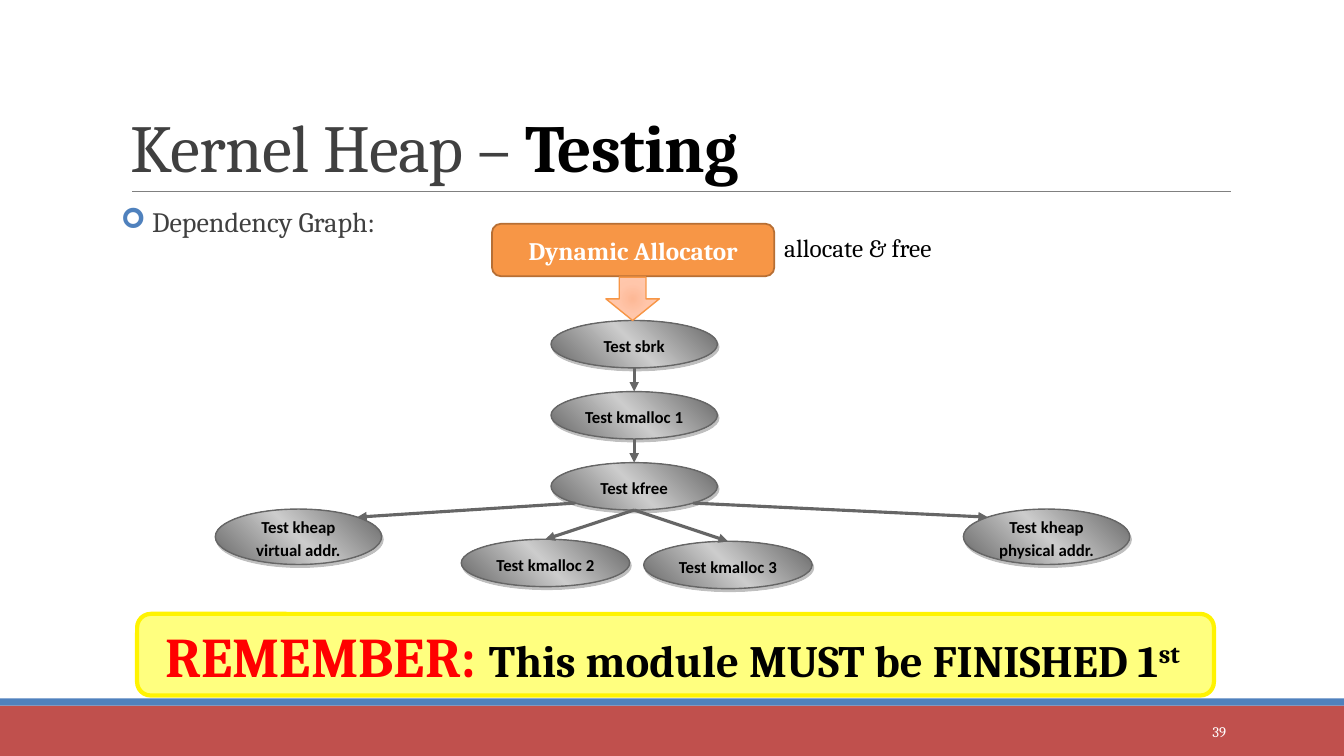
from math import cos, pi, sin

from lxml import etree
from pptx import Presentation
from pptx.dml.color import RGBColor
from pptx.enum.shapes import MSO_CONNECTOR, MSO_SHAPE
from pptx.enum.text import MSO_ANCHOR, PP_ALIGN
from pptx.oxml import parse_xml
from pptx.oxml.ns import qn
from pptx.util import Inches, Pt

STRAIGHT = MSO_CONNECTOR.STRAIGHT
OVAL, RECT = MSO_SHAPE.OVAL, MSO_SHAPE.RECTANGLE
ROUNDED, DOWN = MSO_SHAPE.ROUNDED_RECTANGLE, MSO_SHAPE.DOWN_ARROW
TOP, MIDDLE, BOTTOM = MSO_ANCHOR.TOP, MSO_ANCHOR.MIDDLE, MSO_ANCHOR.BOTTOM
LEFT, CENTER, RIGHT = PP_ALIGN.LEFT, PP_ALIGN.CENTER, PP_ALIGN.RIGHT
RED_BAND, BLUE = RGBColor(0xC0, 0x50, 0x4D), RGBColor(0x4F, 0x81, 0xBD)
ORANGE, BROWN = RGBColor(0xF7, 0x96, 0x46), RGBColor(0xB7, 0x6F, 0x34)
GRAY, MID_GRAY = RGBColor(0x66, 0x66, 0x66), RGBColor(0x80, 0x80, 0x80)
INK, BLACK = RGBColor(0x40, 0x40, 0x40), RGBColor(0, 0, 0)
WHITE, RED = RGBColor(255, 255, 255), RGBColor(255, 0, 0)
YELLOW, YELLOW_EDGE = RGBColor(255, 255, 0), RGBColor(0xFF, 0xF3, 0x01)
NS = 'xmlns:a="http://schemas.openxmlformats.org/drawingml/2006/main"'

# Content: each run is text, size, colour, bold
TITLE = [("Kernel Heap – ", 48, INK, False), ("Testing", 48, BLACK, True)]
TOPIC = [(" Dependency Graph:", 20, INK, False)]
ALLOCATOR = [("Dynamic Allocator", 18, WHITE, True)]
ALLOCATOR_NOTE = [("allocate & free", 18, BLACK, False)]
REMINDER = [("REMEMBER: ", 40, RED, True),
            ("This module MUST be FINISHED 1", 32, BLACK, True),
            ("st ", 32, BLACK, True)]
PAGE_NUMBER = [("39", 10.5, WHITE, False)]

# Graph: name -> label, centre x, top, width, height
AXIS, CHAIN_TOP, CHAIN_STEP = 6.29, 3.18, 0.705
CHAIN = ["Test sbrk", "Test kmalloc 1", "Test kfree"]
NODES = {label: (label, AXIS, CHAIN_TOP + row * CHAIN_STEP, 1.65, 0.47)
         for row, label in enumerate(CHAIN)}
NODES.update({
    "virtual": ("Test kheap virtual addr.", 2.96, 5.05, 1.65, 0.55),
    "physical": ("Test kheap physical addr.", 10.38, 5.05, 1.65, 0.55),
    "kmalloc 2": ("Test kmalloc 2", 5.41, 5.35, 1.67, 0.47),
    "kmalloc 3": ("Test kmalloc 3", 7.22, 5.37, 1.67, 0.47),
})
# Edges: source, angle on its rim, target, angle on its rim (degrees, down is 90)
EDGES = [(start, 90, end, 270) for start, end in zip(CHAIN, CHAIN[1:])]
EDGES += [("Test kfree", 135, "virtual", 315), ("Test kfree", 45, "physical", 225),
          ("Test kfree", 90, "kmalloc 2", 270), ("Test kfree", 90, "kmalloc 3", 270)]

deck = Presentation()
deck.slide_width, deck.slide_height = Inches(13.33), Inches(7.5)
page = deck.slides.add_slide(deck.slide_layouts[6])


def write(box, spans, align=LEFT, anchor=TOP, font="Cambria", margins=(0.1, 0.05)):
    frame = box.text_frame
    frame.word_wrap = True
    frame.vertical_anchor = anchor
    frame.margin_left = frame.margin_right = Inches(margins[0])
    frame.margin_top = frame.margin_bottom = Inches(margins[1])
    para = frame.paragraphs[0]
    para.alignment = align
    para.font.name = font
    for text, size, color, bold in spans:
        span = para.add_run()
        span.text = text
        span.font.name = font
        span.font.size, span.font.bold = Pt(size), bold
        span.font.color.rgb = color
    return para


def add_text(place, spans, **style):
    return write(page.shapes.add_textbox(*map(Inches, place)), spans, **style)


def add_box(kind, place, fill=None, line=None, width=1):
    box = page.shapes.add_shape(kind, *map(Inches, place))
    box.shadow.inherit = False
    if fill is not None:
        box.fill.solid()
        box.fill.fore_color.rgb = fill
    if line is None:
        box.line.fill.background()
    else:
        box.line.color.rgb, box.line.width = line, Pt(width)
    return box


def shade(box, stops, direction):
    box.fill.gradient()
    gradient = box._element.spPr.find(qn("a:gradFill"))
    marks = "".join(f'<a:gs pos="{pos * 1000}"><a:srgbClr val="{color}"/></a:gs>'
                    for pos, color in stops)
    source = parse_xml(f"<a:gradFill {NS}><a:gsLst>{marks}</a:gsLst>{direction}</a:gradFill>")
    for child in list(gradient):
        gradient.remove(child)
    for child in list(source):
        gradient.append(child)


def add_line(start, end, color, width, arrow=False):
    line = page.shapes.add_connector(STRAIGHT, *map(Inches, (*start, *end)))
    line.line.color.rgb, line.line.width = color, Pt(width)
    if arrow:
        etree.SubElement(line.line._get_or_add_ln(), qn("a:tailEnd"), type="triangle")
    etree.SubElement(line._element.spPr, qn("a:effectLst"))


def rim(node, degrees):
    _, center, top, width, height = NODES[node]
    angle = degrees * pi / 180
    return center + width / 2 * cos(angle), top + height / 2 * (1 + sin(angle))


# Footer bands, title rule and page number
add_box(RECT, (0, 7, 13.33, 0.5), RED_BAND)
add_box(RECT, (0, 6.93, 13.33, 0.07), BLUE)
add_line((1.31, 1.9), (12.21, 1.9), MID_GRAY, 0.5)
add_text((10.83, 7.06, 1.43, 0.4), PAGE_NUMBER, align=RIGHT, anchor=MIDDLE)

# Title
title = add_text((1.2, 0.31, 11, 1.59), TITLE, anchor=BOTTOM)
title.line_spacing = 0.85
for span in title.runs:
    span._r.get_or_add_rPr().set("spc", "-50")

# Bulleted topic
topic = add_text((1.2, 2.02, 11, 0.48), TOPIC, margins=(0, 0.05))
topic.line_spacing, topic.space_before, topic.space_after = 0.9, Pt(12), Pt(2)
bullet = topic._p.get_or_add_pPr()
bullet.set("marL", str(Inches(0.1)))
bullet.set("indent", str(Inches(-0.1)))
defaults = bullet.find(qn("a:defRPr"))
for mark in (f'<a:buClr {NS}><a:srgbClr val="{BLUE}"/></a:buClr>',
             f'<a:buFont {NS} typeface="Wingdings"/>',
             f'<a:buChar {NS} char="➢"/>'):
    defaults.addprevious(parse_xml(mark))

# Test nodes
for label, center, top, width, height in NODES.values():
    node = add_box(OVAL, (center - width / 2, top, width, height), line=GRAY)
    shade(node, [(0, "666666"), (50, "CCCCCC"), (100, "666666")],
          '<a:lin ang="18900000" scaled="1"/>')
    node._element.spPr.find(qn("a:effectLst")).append(parse_xml(
        f'<a:outerShdw {NS} blurRad="0" dist="{Pt(2.2)}" dir="3780000" algn="ctr" '
        'rotWithShape="0"><a:srgbClr val="808080"><a:alpha val="50000"/></a:srgbClr>'
        '</a:outerShdw>'))
    para = write(node, [(label, 12, BLACK, True)], CENTER, MIDDLE, "Calibri", (0, 0))
    para.line_spacing, para.space_after = 1.15, Pt(10)

# Dependency arrows
for source, leave, target, arrive in EDGES:
    add_line(rim(source, leave), rim(target, arrive), GRAY, 2.25, arrow=True)

# Allocator, its note and the block arrow
allocator = add_box(ROUNDED, (4.88, 2.22, 2.8, 0.52), ORANGE, BROWN, 1.25)
write(allocator, ALLOCATOR, CENTER, MIDDLE)
block_arrow = add_box(DOWN, (6.01, 2.75, 0.53, 0.43), line=ORANGE)
shade(block_arrow, [(0, "FDB896"), (45, "FFC6AA"), (100, "FFCCB5")],
      '<a:path path="circle"><a:fillToRect l="100000" t="100000" '
      'r="100000" b="100000"/></a:path>')
add_text((7.68, 2.26, 1.74, 0.4), ALLOCATOR_NOTE)

# Reminder banner
banner = add_box(ROUNDED, (1.36, 6.09, 10.68, 0.81), YELLOW, YELLOW_EDGE, 3)
tint = banner._element.spPr.find(qn("a:solidFill"))[0]
etree.SubElement(tint, qn("a:alpha"), val="50000")
reminder = write(banner, REMINDER, CENTER, MIDDLE)
reminder.runs[-1]._r.get_or_add_rPr().set("baseline", "30000")

deck.save("out.pptx")
